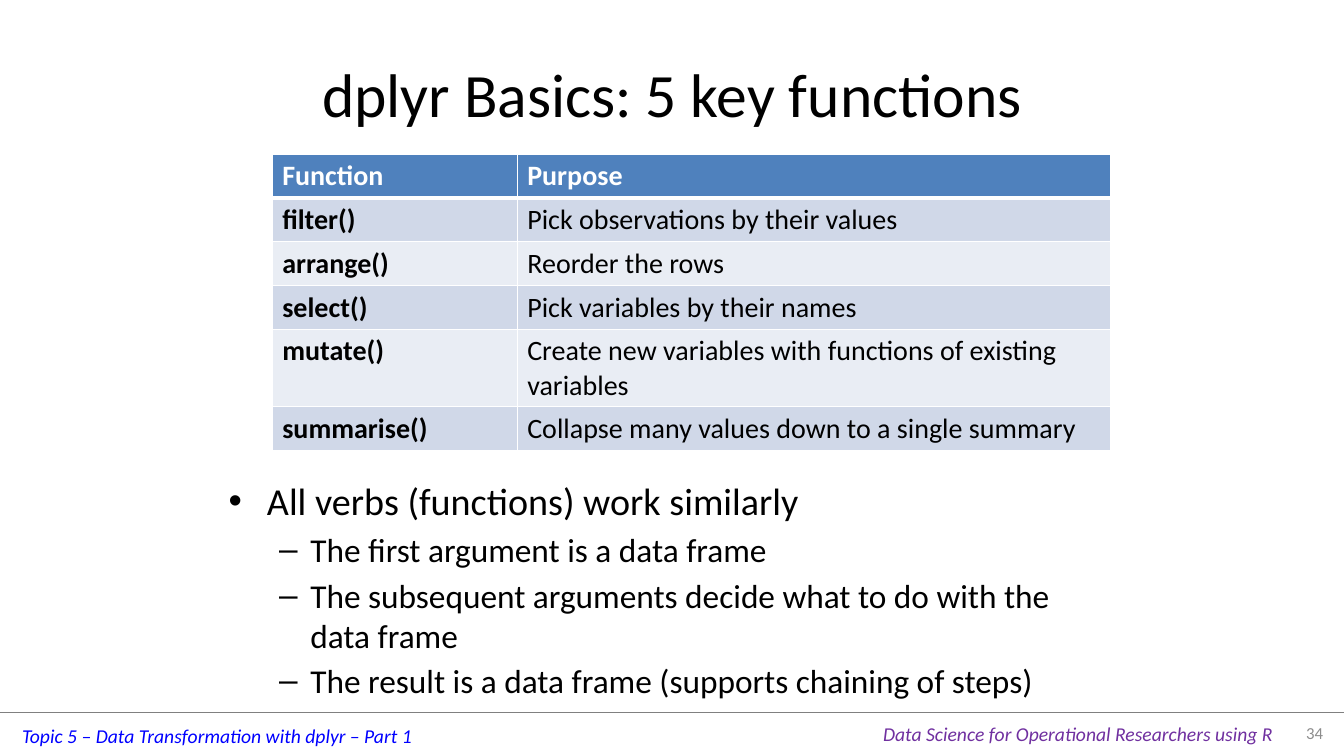
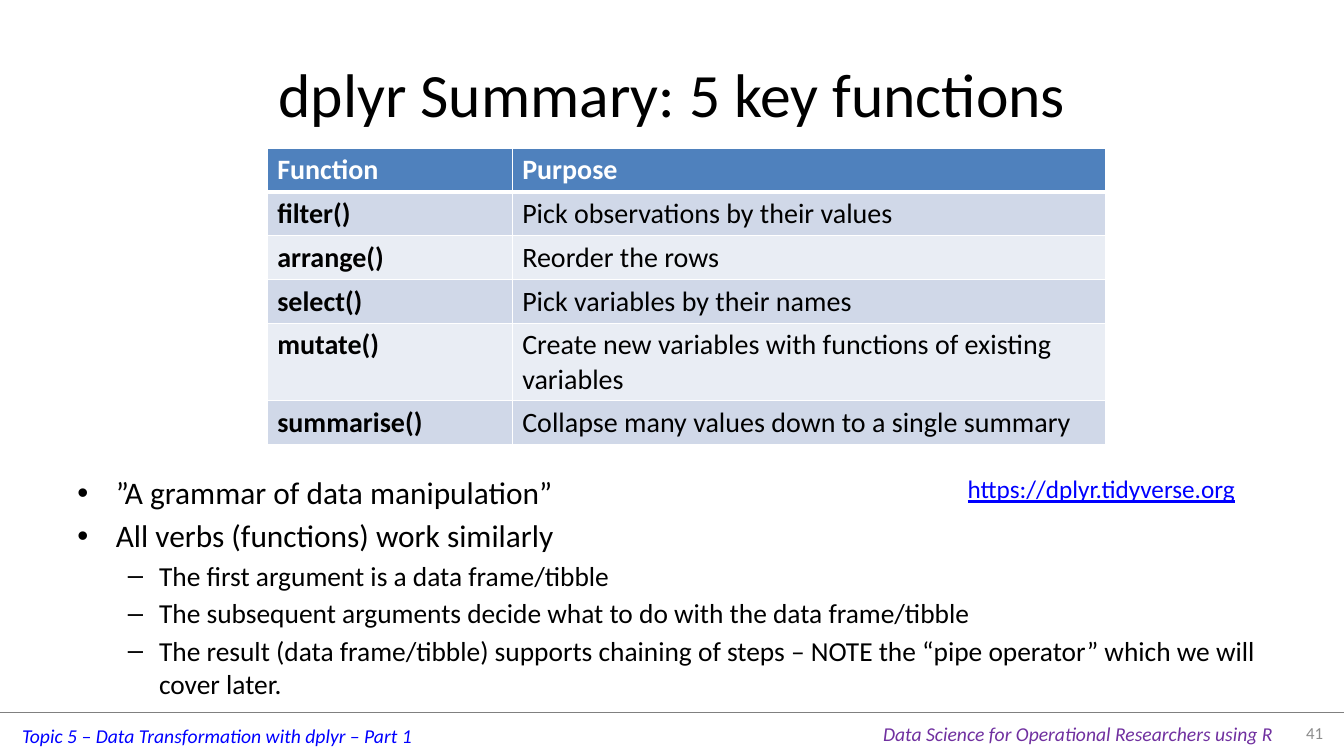
from dataclasses import dataclass

import lxml.etree
import pptx
import pptx.dml.color
import pptx.enum.shapes
import pptx.enum.text
import pptx.oxml.ns
import pptx.presentation
import pptx.shapes.autoshape
import pptx.slide
import pptx.table
import pptx.text.text
import pptx.util

Inches = pptx.util.Inches
Pt = pptx.util.Pt
qn = pptx.oxml.ns.qn
Anchor = pptx.enum.text.MSO_ANCHOR
Align = pptx.enum.text.PP_ALIGN


@dataclass(frozen=True)
class Theme:
    font: str = "Calibri"
    text: str = "000000"
    white: str = "FFFFFF"
    rule: str = "808080"
    topic: str = "0000FF"
    course: str = "7030A0"
    number: str = "8C8C8C"
    header: str = "4F81BD"
    bands: tuple[str, str] = ("D0D8E8", "E9EDF4")
    title_size: float = 44
    table_size: float = 20
    link_size: float = 18
    footer_size: float = 14
    number_size: float = 12
    space_ratio: float = 0.17


@dataclass(frozen=True)
class Area:
    left: float
    top: float
    width: float
    height: float

    def lengths(self) -> tuple[int, int, int, int]:
        return (Inches(self.left), Inches(self.top), Inches(self.width), Inches(self.height))


@dataclass(frozen=True)
class Label:
    text: str
    area: Area
    size: float
    color: str
    italic: bool = False
    underline: bool = False
    wrap: bool = True
    align: Align = Align.LEFT
    anchor: Anchor = Anchor.TOP


@dataclass(frozen=True)
class Level:
    bullet: str
    margin: float
    indent: float


@dataclass(frozen=True)
class Point:
    text: str
    level: int = 0


@dataclass(frozen=True)
class Content:
    title: str
    number: str
    table_left: float
    table_top: float
    body: Area
    body_sizes: tuple[float, float]
    points: tuple[Point, ...]
    labels: tuple[Label, ...] = ()


THEME = Theme()
SLIDE_WIDTH, SLIDE_HEIGHT = 13.33, 7.5
FOOTER_TOP = 7.07
TITLE_AREA = Area(0.67, 0.3, 12, 1.25)
COLUMN_WIDTHS = (2.43, 5.89)
ROW_HEIGHT = 0.41
LEVELS = (Level("•", 0.38, -0.38), Level("–", 0.81, -0.31))
FUNCTIONS = (
    ("Function", "Purpose"),
    ("filter()", "Pick observations by their values"),
    ("arrange()", "Reorder the rows"),
    ("select()", "Pick variables by their names"),
    ("mutate()", "Create new variables with functions of existing variables"),
    ("summarise()", "Collapse many values down to a single summary"),
)
FOOTERS = (
    Label("Topic 5 – Data Transformation with dplyr – Part 1", Area(0.12, 7.13, 4.12, 0.34),
          THEME.footer_size, THEME.topic, italic=True, wrap=False),
    Label("Data Science for Operational Researchers using R", Area(8.66, 7.11, 4.11, 0.34),
          THEME.footer_size, THEME.course, italic=True, wrap=False),
)
CONTENTS = (
    Content(
        "dplyr Basics: 5 key functions", "34", 2.7, 1.53,
        Area(2.17, 4.69, 9, 2.01), (27.2, 23.8),
        (
            Point("All verbs (functions) work similarly"),
            Point("The first argument is a data frame", 1),
            Point("The subsequent arguments decide what to do with the data frame", 1),
            Point("The result is a data frame (supports chaining of steps)", 1),
        ),
    ),
    Content(
        "dplyr Summary: 5 key functions", "41", 2.65, 1.47,
        Area(0.67, 4.65, 12, 2.17), (22.4, 19.6),
        (
            Point("”A grammar of data manipulation”"),
            Point("All verbs (functions) work similarly"),
            Point("The first argument is a data frame/tibble", 1),
            Point("The subsequent arguments decide what to do with the data frame/tibble", 1),
            Point("The result (data frame/tibble) supports chaining of steps – NOTE the "
                  "“pipe operator” which we will cover later.", 1),
        ),
        (Label("https://dplyr.tidyverse.org", Area(9.5, 4.65, 2.94, 0.4),
               THEME.link_size, THEME.topic, underline=True),),
    ),
)


def rgb(color: str) -> pptx.dml.color.RGBColor:
    return pptx.dml.color.RGBColor.from_string(color)


def format_runs(para: pptx.text.text._Paragraph, size: float, color: str, bold: bool = False,
                italic: bool = False, underline: bool = False) -> None:
    for span in para.runs:
        span.font.name = THEME.font
        span.font.size = Pt(size)
        span.font.color.rgb = rgb(color)
        span.font.bold = bold
        span.font.italic = italic
        span.font.underline = underline


def add_label(page: pptx.slide.Slide, label: Label) -> None:
    frame = page.shapes.add_textbox(*label.area.lengths()).text_frame
    frame.word_wrap = label.wrap
    frame.vertical_anchor = label.anchor
    frame.text = label.text
    para = frame.paragraphs[0]
    para.alignment = label.align
    format_runs(para, label.size, label.color, italic=label.italic, underline=label.underline)


def set_title(page: pptx.slide.Slide, text: str) -> None:
    title = page.shapes.title
    title.left, title.top, title.width, title.height = TITLE_AREA.lengths()
    title.text_frame.text = text
    title.text_frame.vertical_anchor = Anchor.MIDDLE
    para = title.text_frame.paragraphs[0]
    para.alignment = Align.CENTER
    format_runs(para, THEME.title_size, THEME.text)


def add_footer(page: pptx.slide.Slide, number: str) -> None:
    rule = page.shapes.add_connector(
        pptx.enum.shapes.MSO_CONNECTOR.STRAIGHT,
        Inches(0), Inches(FOOTER_TOP), Inches(SLIDE_WIDTH), Inches(FOOTER_TOP))
    rule.line.color.rgb = rgb(THEME.rule)
    rule.line.width = Pt(0.25)
    lxml.etree.SubElement(rule._element.spPr, qn("a:effectLst"))
    for label in FOOTERS:
        add_label(page, label)
    add_label(page, Label(number, Area(12.67, FOOTER_TOP, 0.55, 0.39), THEME.number_size,
                          THEME.number, align=Align.RIGHT, anchor=Anchor.MIDDLE))


def set_bullet(para: pptx.text.text._Paragraph, level: Level) -> None:
    properties = para._p.get_or_add_pPr()
    properties.set("marL", str(Inches(level.margin)))
    properties.set("indent", str(Inches(level.indent)))
    lxml.etree.SubElement(properties, qn("a:buFont")).set("typeface", "Arial")
    lxml.etree.SubElement(properties, qn("a:buChar")).set("char", level.bullet)


def add_points(page: pptx.slide.Slide, content: Content) -> None:
    frame = page.shapes.add_textbox(*content.body.lengths()).text_frame
    frame.word_wrap = True
    for index, point in enumerate(content.points):
        para = frame.add_paragraph() if index else frame.paragraphs[0]
        para.text = point.text
        para.level = point.level
        set_bullet(para, LEVELS[point.level])
        size = content.body_sizes[point.level]
        para.space_before = Pt(size * THEME.space_ratio if index else 0)
        format_runs(para, size, THEME.text)


def set_borders(cell: pptx.table._Cell, top: float, bottom: float) -> None:
    properties = cell._tc.get_or_add_tcPr()
    for tag, width in (("a:lnL", 1), ("a:lnR", 1), ("a:lnT", top), ("a:lnB", bottom)):
        border = lxml.etree.SubElement(properties, qn(tag))
        border.set("w", str(Pt(width)))
        fill = lxml.etree.SubElement(border, qn("a:solidFill"))
        lxml.etree.SubElement(fill, qn("a:srgbClr")).set("val", THEME.white)


def add_function_table(page: pptx.slide.Slide, left: float, top: float) -> None:
    area = Area(left, top, sum(COLUMN_WIDTHS), ROW_HEIGHT * len(FUNCTIONS))
    table = page.shapes.add_table(len(FUNCTIONS), len(COLUMN_WIDTHS), *area.lengths()).table
    table.horz_banding = False
    for column, width in zip(table.columns, COLUMN_WIDTHS):
        column.width = Inches(width)
    for row_index, values in enumerate(FUNCTIONS):
        table.rows[row_index].height = Inches(ROW_HEIGHT)
        is_header = row_index == 0
        for column_index, value in enumerate(values):
            cell = table.cell(row_index, column_index)
            cell.text_frame.text = value
            set_borders(cell, top=3 if row_index == 1 else 1, bottom=3 if is_header else 1)
            cell.fill.solid()
            cell.fill.fore_color.rgb = rgb(
                THEME.header if is_header else THEME.bands[(row_index - 1) % 2])
            format_runs(cell.text_frame.paragraphs[0], THEME.table_size,
                        THEME.white if is_header else THEME.text,
                        bold=is_header or column_index == 0)


def add_page(deck: pptx.presentation.Presentation, content: Content) -> None:
    page = deck.slides.add_slide(deck.slide_layouts.get_by_name("Title Only"))
    set_title(page, content.title)
    add_footer(page, content.number)
    add_points(page, content)
    add_function_table(page, content.table_left, content.table_top)
    for label in content.labels:
        add_label(page, label)


def main() -> None:
    deck = pptx.Presentation()
    deck.slide_width = Inches(SLIDE_WIDTH)
    deck.slide_height = Inches(SLIDE_HEIGHT)
    for content in CONTENTS:
        add_page(deck, content)
    deck.save("out.pptx")


if __name__ == "__main__":
    main()
